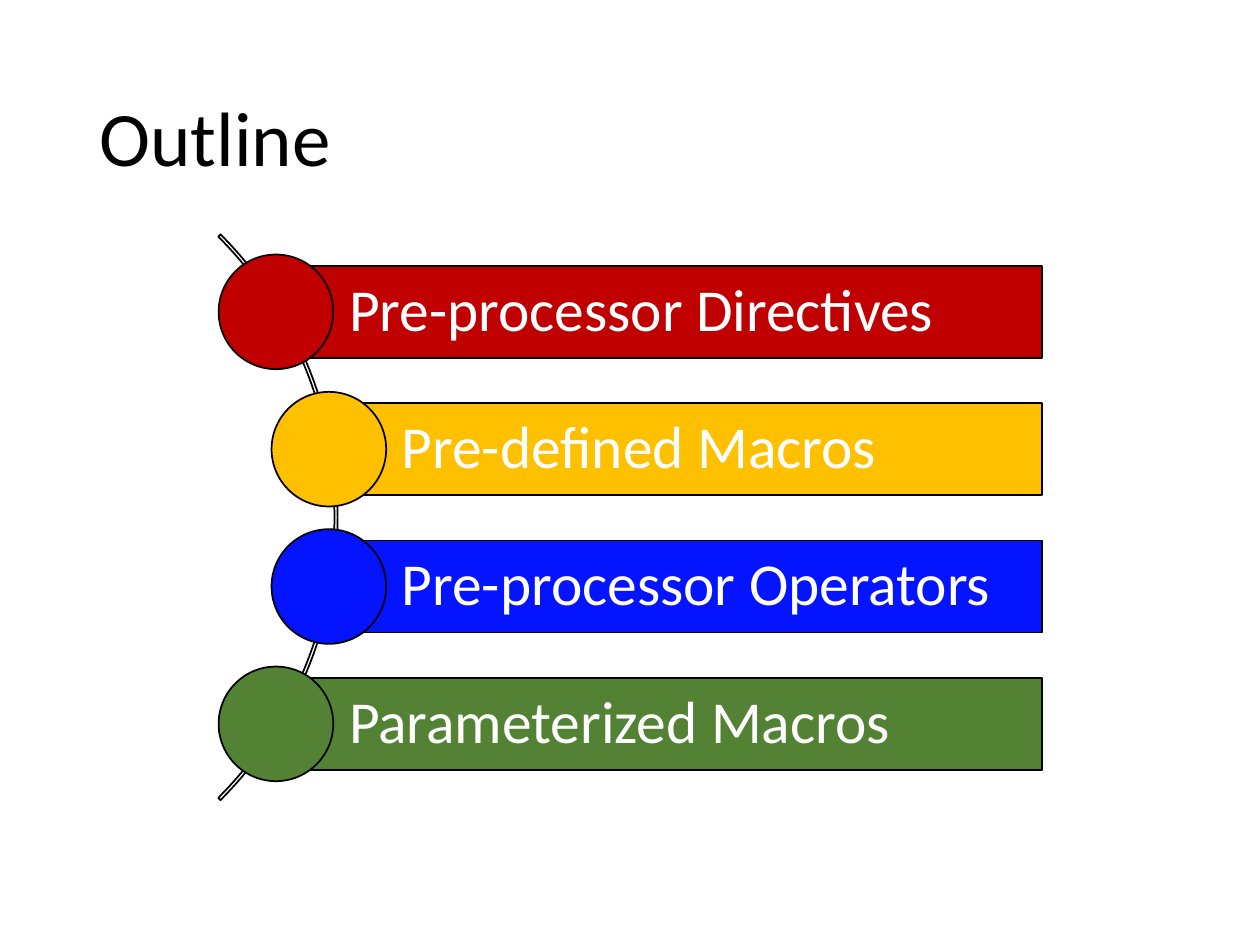
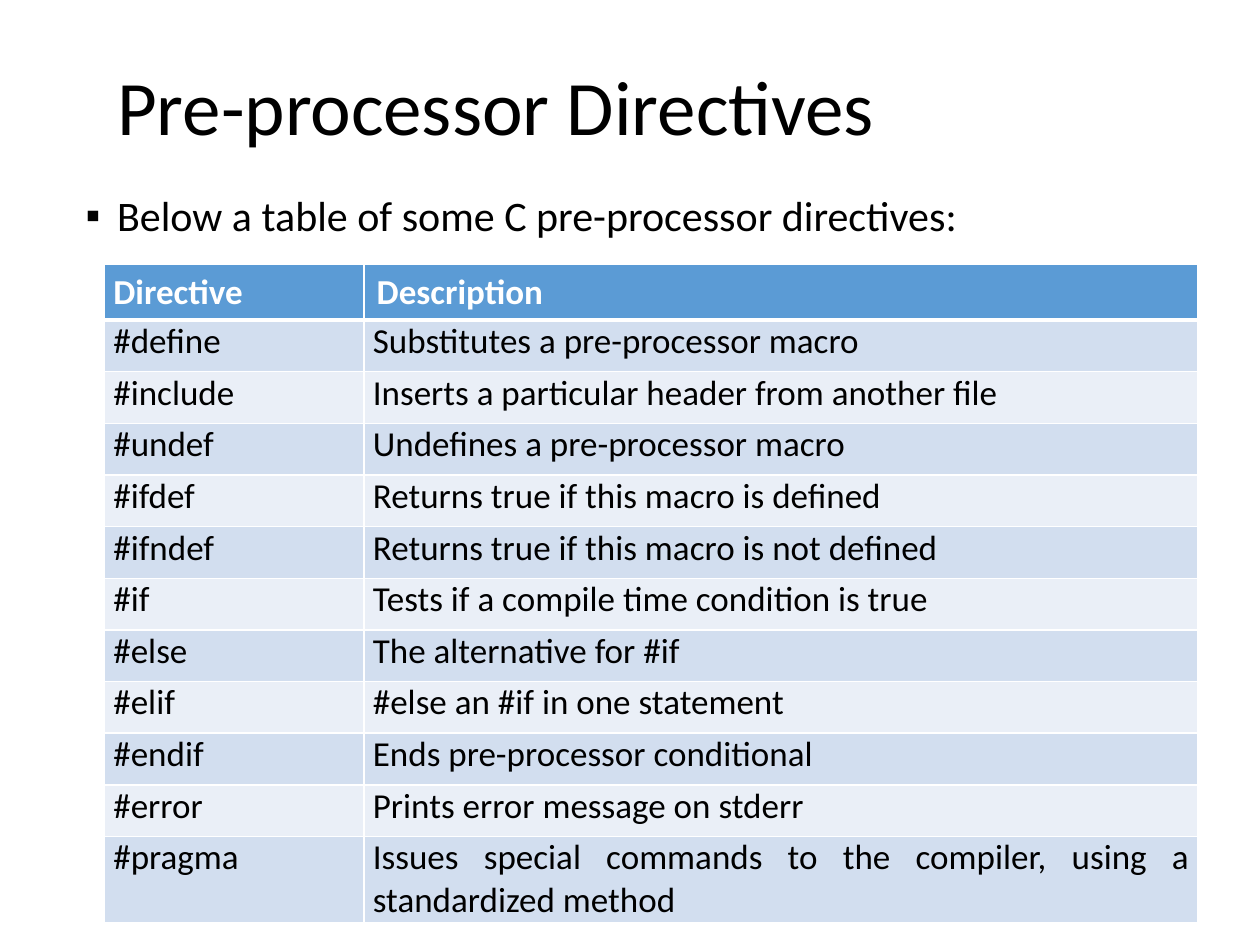
from lxml import etree
from pptx import Presentation
from pptx.dml.color import RGBColor
from pptx.enum.shapes import MSO_SHAPE
from pptx.enum.text import MSO_ANCHOR, MSO_AUTO_SIZE, PP_ALIGN
from pptx.oxml.ns import qn
from pptx.util import Inches, Pt

LEFT, JUSTIFY = PP_ALIGN.LEFT, PP_ALIGN.JUSTIFY
TOP, MIDDLE = MSO_ANCHOR.TOP, MSO_ANCHOR.MIDDLE
NO_AUTOFIT = MSO_AUTO_SIZE.NONE
RECTANGLE, OVAL, BLOCK_ARC = MSO_SHAPE.RECTANGLE, MSO_SHAPE.OVAL, MSO_SHAPE.BLOCK_ARC

FONT = "Calibri"
BLACK, WHITE = "000000", "FFFFFF"
HEADER_BLUE = "5B9BD5"
BAND_COLORS = ("D2DEEF", "EAEFF7")
TITLE_ONLY, TITLE_AND_CONTENT = 5, 1

# Topic, colour, centre of its circle along the arc
TOPICS = [
    ("Pre-processor Directives", "C00000", 2.19),
    ("Pre-defined Macros", "FFC000", 2.61),
    ("Pre-processor Operators", "0414FF", 2.61),
    ("Parameterized Macros", "548235", 2.19),
]
FIRST_TOPIC_MIDDLE, TOPIC_STEP = 2.475, 1.09
BAR_RIGHT, BAR_HEIGHT, CIRCLE_SIZE = 8.27, 0.73, 0.91

INTRODUCTION = "Below a table of some C pre-processor directives:"
DIRECTIVES = [
    ("Directive", "Description"),
    ("#define", "Substitutes a pre-processor macro"),
    ("#include", "Inserts a particular header from another file"),
    ("#undef", "Undefines a pre-processor macro"),
    ("#ifdef", "Returns true if this macro is defined"),
    ("#ifndef", "Returns true if this macro is not defined"),
    ("#if", "Tests if a compile time condition is true"),
    ("#else", "The alternative for #if"),
    ("#elif", "#else an #if in one statement"),
    ("#endif", "Ends pre-processor conditional"),
    ("#error", "Prints error message on stderr"),
    ("#pragma", "Issues special commands to the compiler, using a standardized method"),
]
COLUMN_WIDTHS = (2.06, 6.62)
HEADER_HEIGHT, ROW_HEIGHT = 0.38, 0.41


def color(value):
    return RGBColor.from_string(value)


def format_paragraph(paragraph, size, text_color, alignment=LEFT, bold=False, line_spacing=None):
    paragraph.alignment = alignment
    if line_spacing:
        paragraph.line_spacing = line_spacing
    font = paragraph.font
    font.name, font.size, font.bold = FONT, Pt(size), bold
    font.color.rgb = color(text_color)


def set_margins(target, left, top, right, bottom):
    target.margin_left, target.margin_top = Inches(left), Inches(top)
    target.margin_right, target.margin_bottom = Inches(right), Inches(bottom)


def place(shape, left, top, width, height):
    shape.left, shape.top = Inches(left), Inches(top)
    shape.width, shape.height = Inches(width), Inches(height)


def fill_placeholder(placeholder, text, box, anchor):
    """Move a placeholder, write its text and return its paragraph."""
    place(placeholder, *box)
    frame = placeholder.text_frame
    frame.text = text
    frame.auto_size, frame.word_wrap = NO_AUTOFIT, True
    frame.vertical_anchor = anchor
    set_margins(frame, 0.1, 0.05, 0.1, 0.05)
    return frame.paragraphs[0]


def add_titled_slide(presentation, layout, title, box):
    slide = presentation.slides.add_slide(presentation.slide_layouts[layout])
    paragraph = fill_placeholder(slide.shapes.title, title, box, MIDDLE)
    format_paragraph(paragraph, 44, BLACK, line_spacing=0.9)
    return slide


def add_outlined_shape(slide, kind, box, fill=None):
    shape = slide.shapes.add_shape(kind, *map(Inches, box))
    shape.shadow.inherit = False
    if fill:
        shape.fill.solid()
        shape.fill.fore_color.rgb = color(fill)
    else:
        shape.fill.background()
    shape.line.color.rgb = color(BLACK)
    shape.line.width = Pt(1)
    return shape


def add_topic(slide, text, fill, center, middle):
    bar_box = (center, middle - BAR_HEIGHT / 2, BAR_RIGHT - center, BAR_HEIGHT)
    bar = add_outlined_shape(slide, RECTANGLE, bar_box, fill)
    frame = bar.text_frame
    frame.text = text
    frame.word_wrap, frame.vertical_anchor = True, MIDDLE
    set_margins(frame, 0.58, 0.09, 0.09, 0.09)
    format_paragraph(frame.paragraphs[0], 34, WHITE, line_spacing=0.9)
    radius = CIRCLE_SIZE / 2
    circle_box = (center - radius, middle - radius, CIRCLE_SIZE, CIRCLE_SIZE)
    add_outlined_shape(slide, OVAL, circle_box, fill)


def build_outline(presentation):
    slide = add_titled_slide(presentation, TITLE_ONLY, "Outline", (0.69, 0.4, 8.62, 1.45))
    arc = add_outlined_shape(slide, BLOCK_ARC, (-3.67, 0.93, 6.35, 6.35))
    for index, value in enumerate((189, 27, 0.004)):
        arc.adjustments[index] = value
    for index, (text, fill, center) in enumerate(TOPICS):
        add_topic(slide, text, fill, center, FIRST_TOPIC_MIDDLE + index * TOPIC_STEP)


def add_bullet(paragraph, character, indent):
    properties = paragraph._p.get_or_add_pPr()
    properties.set("marL", str(Inches(indent)))
    properties.set("indent", str(-Inches(indent)))
    etree.SubElement(properties, qn("a:buFont"), typeface="Arial")
    etree.SubElement(properties, qn("a:buChar"), char=character)


def set_borders(cell, widths):
    """Draw white cell borders; widths maps L, R, T and B to points."""
    properties = cell._tc.get_or_add_tcPr()
    for side, width in widths.items():
        line = etree.SubElement(properties, qn(f"a:ln{side}"), w=str(Pt(width)))
        fill = etree.SubElement(line, qn("a:solidFill"))
        etree.SubElement(fill, qn("a:srgbClr"), val=WHITE)


def format_cell(cell, text, row, column):
    is_header = row == 0
    cell.text = text
    set_borders(cell, {"L": 1, "R": 1, "T": 3 if row == 1 else 1, "B": 3 if is_header else 1})
    cell.fill.solid()
    cell.fill.fore_color.rgb = color(HEADER_BLUE if is_header else BAND_COLORS[(row - 1) % 2])
    cell.vertical_anchor = MIDDLE if is_header else TOP
    is_description_header = is_header and column == 1
    if is_description_header:
        set_margins(cell, 0.1, 0.05, 0.1, 0.05)
    else:
        set_margins(cell, 0.07, 0, 0.07, 0)
    format_paragraph(cell.text_frame.paragraphs[0], 20, WHITE if is_header else BLACK,
                     LEFT if is_description_header else JUSTIFY, bold=is_header)


def add_directive_table(slide):
    heights = [HEADER_HEIGHT] + [ROW_HEIGHT] * (len(DIRECTIVES) - 1)
    box = (0.83, 2.1, sum(COLUMN_WIDTHS), sum(heights))
    table = slide.shapes.add_table(len(DIRECTIVES), len(COLUMN_WIDTHS), *map(Inches, box)).table
    for column, width in zip(table.columns, COLUMN_WIDTHS):
        column.width = Inches(width)
    for row, height in zip(table.rows, heights):
        row.height = Inches(height)
    for row, texts in enumerate(DIRECTIVES):
        for column, text in enumerate(texts):
            format_cell(table.cell(row, column), text, row, column)


def build_directives(presentation):
    slide = add_titled_slide(presentation, TITLE_AND_CONTENT, "Pre-processor Directives",
                             (0.83, 0.25, 8.5, 1.25))
    paragraph = fill_placeholder(slide.placeholders[1], INTRODUCTION, (0.58, 1.5, 9.17, 5.85), TOP)
    add_bullet(paragraph, "▪", 0.25)
    format_paragraph(paragraph, 24, BLACK, line_spacing=0.9)
    add_directive_table(slide)


def main():
    presentation = Presentation()
    presentation.slide_width, presentation.slide_height = Inches(10), Inches(7.5)
    build_outline(presentation)
    build_directives(presentation)
    presentation.save("out.pptx")


if __name__ == "__main__":
    main()
